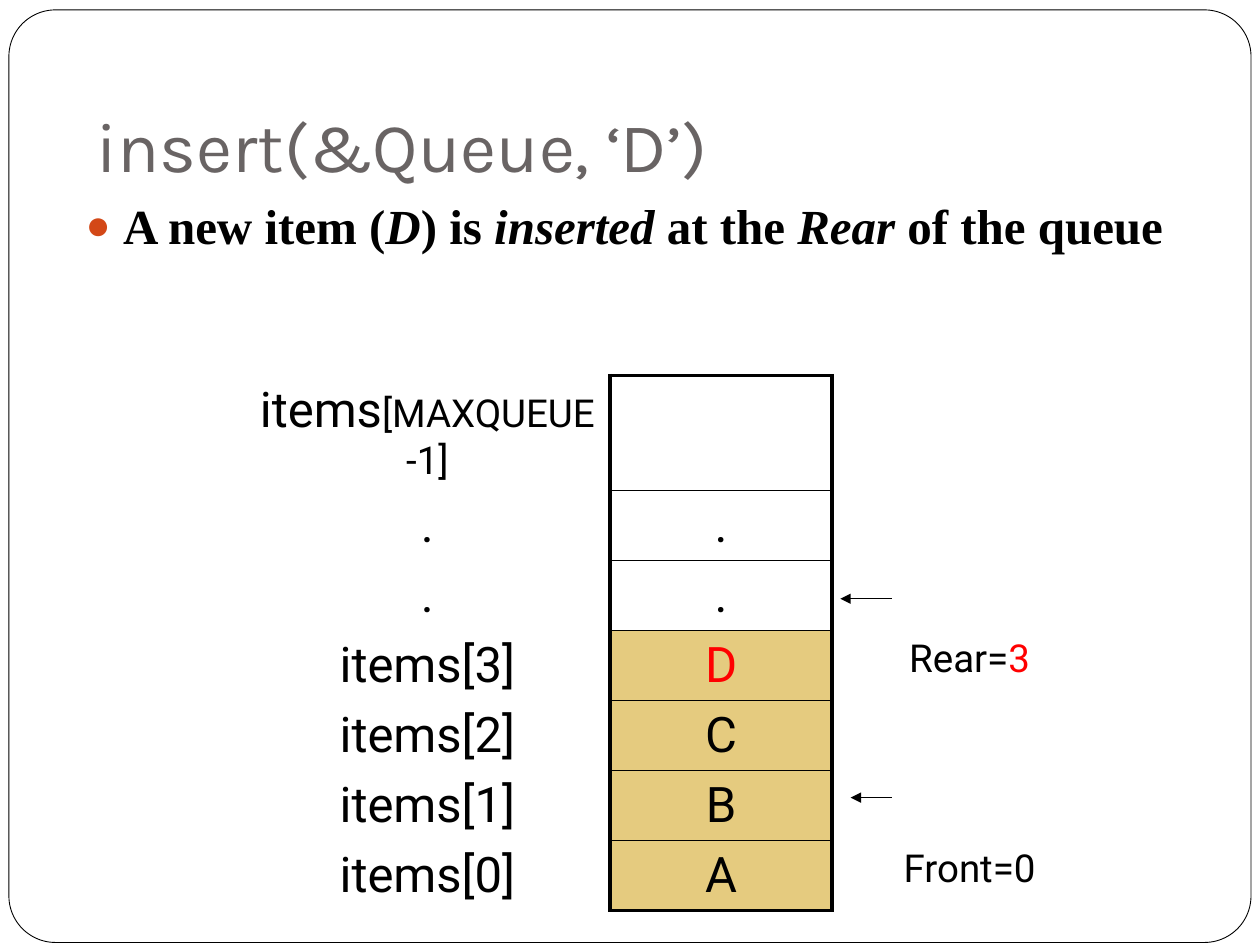
from dataclasses import dataclass

from lxml import etree
from pptx import Presentation
from pptx.dml.color import RGBColor
from pptx.enum.shapes import MSO_CONNECTOR, MSO_SHAPE
from pptx.enum.text import MSO_ANCHOR, MSO_AUTO_SIZE, PP_ALIGN
from pptx.oxml.ns import qn
from pptx.util import Cm, Pt

LEFT, CENTER = PP_ALIGN.LEFT, PP_ALIGN.CENTER
TOP, BOTTOM = MSO_ANCHOR.TOP, MSO_ANCHOR.BOTTOM
NO_AUTOFIT = MSO_AUTO_SIZE.NONE
ROUNDED, STRAIGHT = MSO_SHAPE.ROUNDED_RECTANGLE, MSO_CONNECTOR.STRAIGHT
PLAIN_TABLE = "{2D5ABB26-0587-4C30-8999-92F81FD0307C}"


@dataclass(frozen=True)
class Theme:
    paper: str = "FFFFFF"
    ink: str = "000000"
    heading: str = "696464"
    bullet: str = "D34817"
    gold: str = "CC9900"
    new: str = "FF0000"
    heading_font: str = "Karla"
    body_font: str = "Times New Roman"
    table_font: str = "Roboto"
    heading_size: int = 40
    text_size: int = 28
    label_size: int = 22
    thick: float = 2.25
    thin: float = 1


@dataclass(frozen=True)
class Box:
    left: float
    top: float
    width: float
    height: float

    def lengths(self):
        return [Cm(n) for n in (self.left, self.top, self.width, self.height)]


THEME = Theme()


def write(para, text, *, size=THEME.text_size, font=THEME.table_font,
          color=THEME.ink, bold=False, italic=False):
    span = para.add_run()
    span.text = text
    span.font.size = Pt(size)
    span.font.name = font
    span.font.bold = bold
    span.font.italic = italic
    span.font.color.rgb = RGBColor.from_string(color)


def add_xml(parent, tag, **attributes):
    return etree.SubElement(parent, qn(tag), attributes)


def place(shape, box):
    shape.left, shape.top, shape.width, shape.height = box.lengths()


def add_page_frame(page, box):
    frame = page.shapes.add_shape(ROUNDED, *box.lengths())
    frame.adjustments[0] = 0.05
    frame.shadow.inherit = False
    frame.fill.solid()
    frame.fill.fore_color.rgb = RGBColor.from_string(THEME.paper)
    frame.line.color.rgb = RGBColor.from_string(THEME.ink)
    frame.line.width = Pt(0.5)
    page.shapes.element.insert(2, frame.element)


def fill_title(page, box):
    title = page.shapes.title
    place(title, box)
    text = title.text_frame
    text.auto_size = NO_AUTOFIT
    text.vertical_anchor = BOTTOM
    text.margin_bottom = Cm(0.25)
    para = text.paragraphs[0]
    para.alignment = LEFT
    write(para, "insert(&Queue, ‘D’)", size=THEME.heading_size,
          font=THEME.heading_font, color=THEME.heading)


def fill_body(page, box):
    body = page.placeholders[1]
    place(body, box)
    text = body.text_frame
    text.auto_size = NO_AUTOFIT
    text.vertical_anchor = TOP
    para = text.paragraphs[0]
    para.alignment = LEFT
    para.space_before = Pt(5.8)
    parts = ("A new item (", "D", ") is ", "inserted ", "at the ", "Rear ", "of the queue")
    for index, part in enumerate(parts):
        write(para, part, font=THEME.body_font, bold=True, italic=index % 2 == 1)
    settings = para._p.get_or_add_pPr()
    settings.set("marL", str(Cm(0.76)))
    settings.set("indent", str(-Cm(0.76)))
    add_xml(add_xml(settings, "a:buClr"), "a:srgbClr", val=THEME.bullet)
    add_xml(settings, "a:buSzPct", val="85000")
    add_xml(settings, "a:buFont", typeface="Arial")
    add_xml(settings, "a:buChar", char="●")


def set_borders(cell, **widths):
    settings = cell._tc.get_or_add_tcPr()
    for side in "LRTB":
        if side in widths:
            line = add_xml(settings, f"a:ln{side}", w=str(Pt(widths[side])))
            add_xml(add_xml(line, "a:solidFill"), "a:srgbClr", val=THEME.ink)


def fill_gold(cell):
    cell.fill.solid()
    cell.fill.fore_color.rgb = RGBColor.from_string(THEME.gold)
    for color in cell._tc.tcPr.iter(qn("a:srgbClr")):
        if color.get("val") == THEME.gold:
            add_xml(color, "a:alpha", val="50000")


def fill_cell(cell, spans):
    para = cell.text_frame.paragraphs[0]
    para.alignment = CENTER
    for text, style in spans:
        write(para, text, **style)


def add_arrow(page, box, start, end, level):
    y = Cm(box.top + level)
    arrow = page.shapes.add_connector(
        STRAIGHT, Cm(box.left + start), y, Cm(box.left + end), y)
    arrow.line.color.rgb = RGBColor.from_string(THEME.ink)
    arrow.line.width = Pt(0.75)
    add_xml(arrow.line._get_or_add_ln(), "a:tailEnd", type="triangle")
    add_xml(arrow._element.spPr, "a:effectLst")


def add_queue(page, box):
    label, new = {"size": THEME.label_size}, {"color": THEME.new}
    rows = [
        ([("items", {}), ("[MAXQUEUE-1]", label)], [], []),
        ([(".", {})], [(".", {})], []),
        ([(".", {})], [(".", {})], []),
        ([("items[3]", {})], [("D", new)], [("Rear=", label), ("3", label | new)]),
        ([("items[2]", {})], [("C", {})], []),
        ([("items[1]", {})], [("B", {})], []),
        ([("items[0]", {})], [("A", {})], [("Front=0", label)]),
    ]
    holder = page.shapes.add_table(len(rows), 3, *box.lengths())
    table = holder.table
    table.first_row = table.horz_banding = False
    table._tbl.tblPr.find(qn("a:tableStyleId")).text = PLAIN_TABLE
    for column, width in zip(table.columns, (7.37, 4.47, 5.55)):
        column.width = Cm(width)
    last, first_filled = len(rows) - 1, 3
    for index, contents in enumerate(rows):
        table.rows[index].height = Cm(1.57 if index == 0 else 1.32)
        names, slot, pointer = [table.cell(index, column) for column in range(3)]
        edges = {"L": THEME.thick, "R": THEME.thick}
        if index != 2:
            edges["T"] = THEME.thick if index == 0 else THEME.thin
        if index != 1:
            edges["B"] = THEME.thick if index == last else THEME.thin
        set_borders(names, R=THEME.thick)
        set_borders(slot, **edges)
        set_borders(pointer, L=THEME.thick)
        for cell, spans in zip((names, slot, pointer), contents):
            cell.fill.background()
            fill_cell(cell, spans)
        if index >= first_filled:
            fill_gold(slot)
    holder.height = Cm(box.height)
    add_arrow(page, box, 13.05, 12.22, 8.51)
    add_arrow(page, box, 13.05, 12.01, 4.5)


def main():
    deck = Presentation()
    deck.slide_width, deck.slide_height = Cm(25.4), Cm(19.05)
    page = deck.slides.add_slide(deck.slide_layouts[1])
    add_page_frame(page, Box(0.18, 0.2, 25.04, 18.8))
    fill_title(page, Box(1.7, 0.84, 21.59, 3.18))
    fill_body(page, Box(1.47, 3.81, 22.66, 4.24))
    add_queue(page, Box(4.93, 7.57, 17.39, 11))
    deck.save("out.pptx")


if __name__ == "__main__":
    main()
